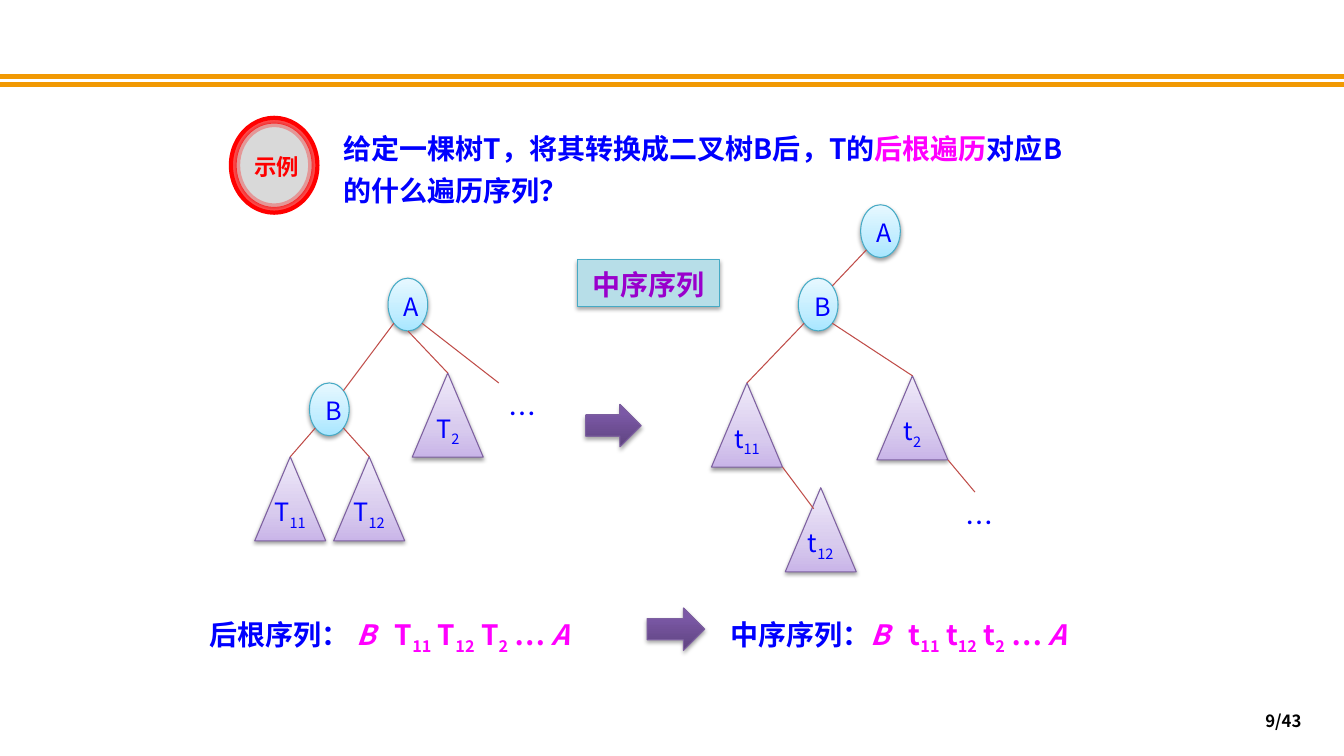
from dataclasses import dataclass

from pptx import Presentation
from pptx.dml.color import RGBColor
from pptx.enum.shapes import MSO_CONNECTOR, MSO_SHAPE
from pptx.enum.text import MSO_ANCHOR, MSO_AUTO_SIZE, PP_ALIGN
from pptx.oxml import parse_xml
from pptx.oxml.ns import nsdecls, qn
from pptx.util import Cm, Pt


@dataclass(frozen=True)
class Theme:
    font: str = "Noto Sans CJK SC"
    blue: str = "0000FF"
    pink: str = "FF00FF"
    purple: str = "9900CC"
    red: str = "FF0000"
    black: str = "000000"
    rule: str = "F19903"
    edge: str = "BF4C48"
    aqua_line: str = "46AAC5"
    violet_line: str = "7D60A0"
    label_fill: str = "B7DEE8"
    badge_fills: tuple = ("F8F8F8", "D9D9D9", None)
    badge_alphas: tuple = (100, 70, 30)
    aqua: tuple = ((0, "A7E6FF"), (35, "C1EDFF"), (100, "E7F8FF"))
    violet: tuple = ((0, "C9B5E8"), (35, "D8CBEE"), (100, "F0EAF9"))
    arrow: tuple = ((0, "5F4480"), (80, "7B58A6"), (100, "7C57A8"))
    body: int = 20
    node: int = 18
    badge: int = 16
    footer: int = 12


THEME = Theme()
SUBSCRIPT = {"baseline": -25000}

# Points on a shape as fractions of its width and height
APEX, BOTTOM, TOP_LEFT = (0.5, 0), (0.5, 1), (0, 0)
LOWER_LEFT, LOWER_RIGHT, UPPER_RIGHT = (0.146, 0.854), (0.854, 0.854), (0.854, 0.146)
CORNER_RIGHT, SLOPE_LEFT, TOP_INNER = (1, 1), (0.4, 0.25), (0.35, 0)


# Text
def add_span(para, text, color, baseline=0, **formats):
    span = para.add_run()
    span.text = text
    for name, value in {"name": THEME.font, **formats}.items():
        setattr(span.font, name, value)
    span.font.color.rgb = RGBColor.from_string(color)
    properties = span._r.get_or_add_rPr()
    if baseline:
        properties.set("baseline", str(baseline))
    properties.append(parse_xml(f'<a:ea {nsdecls("a")} typeface="{THEME.font}"/>'))


def write(box, spans, size, spacing=None, align=PP_ALIGN.LEFT, anchor=MSO_ANCHOR.TOP,
          grow=False, bold=False, color=THEME.blue, tab=None, inset=None):
    frame = box.text_frame
    settings = {"word_wrap": True, "vertical_anchor": anchor}
    if grow:
        settings["auto_size"] = MSO_AUTO_SIZE.SHAPE_TO_FIT_TEXT
    if inset is not None:
        settings.update({f"margin_{side}": inset for side in ("left", "top", "right", "bottom")})
    for name, value in settings.items():
        setattr(frame, name, value)
    para = frame.paragraphs[0]
    if tab:
        para._p.get_or_add_pPr().append(parse_xml(
            f'<a:tabLst {nsdecls("a")}><a:tab pos="{tab}" algn="l"/></a:tabLst>'))
    para.alignment, para.line_spacing = align, spacing
    for text, formats in spans:
        add_span(para, text, **{"size": Pt(size), "bold": bold, "color": color, **formats})


def add_text(slide, place, spans, size, **options):
    box = slide.shapes.add_textbox(*map(Cm, place))
    write(box, spans, size, **options)
    return box


def symbol(letter, index, **formats):
    return [(letter, formats), (index, {**formats, **SUBSCRIPT})]


# Shapes
def add_shape(slide, kind, place, fill, line, weight=0.75, shadow=None):
    shape = slide.shapes.add_shape(kind, *map(Cm, place))
    shape.shadow.inherit = False
    shape.line.color.rgb = RGBColor.from_string(line)
    shape.line.width = Pt(weight)
    properties = shape._element.spPr
    if isinstance(fill, str):
        shape.fill.solid()
        shape.fill.fore_color.rgb = RGBColor.from_string(fill)
    else:
        shape.fill.background()
    if isinstance(fill, tuple):
        stops = "".join(f'<a:gs pos="{position * 1000}"><a:srgbClr val="{color}"/></a:gs>'
                        for position, color in fill)
        properties.replace(properties.find(qn("a:noFill")), parse_xml(
            f'<a:gradFill {nsdecls("a")} rotWithShape="1"><a:gsLst>{stops}</a:gsLst>'
            '<a:lin ang="16200000" scaled="0"/></a:gradFill>'))
    if shadow:
        alpha, distance = shadow
        properties.find(qn("a:effectLst")).append(parse_xml(
            f'<a:outerShdw {nsdecls("a")} blurRad="{Pt(3.1)}" dist="{Pt(distance)}" '
            'dir="5400000" rotWithShape="0"><a:srgbClr val="000000">'
            f'<a:alpha val="{alpha * 1000}"/></a:srgbClr></a:outerShdw>'))
    return shape


def add_node(slide, left, top, letter):
    node = add_shape(slide, MSO_SHAPE.OVAL, (left, top, 1, 1.33),
                     THEME.aqua, THEME.aqua_line, shadow=(38, 1.6))
    write(node, [(letter, {})], THEME.node, spacing=1.1,
          align=PP_ALIGN.CENTER, anchor=MSO_ANCHOR.MIDDLE)
    return node


def add_subtree(slide, left, top, letter, index):
    subtree = add_shape(slide, MSO_SHAPE.ISOSCELES_TRIANGLE, (left, top, 1.79, 2.12),
                        THEME.violet, THEME.violet_line, shadow=(38, 1.6))
    write(subtree, symbol(letter, index), THEME.node, spacing=Pt(16),
          align=PP_ALIGN.CENTER, anchor=MSO_ANCHOR.MIDDLE, inset=0)
    return subtree


def add_more(slide, left, top):
    return add_text(slide, (left, top, 1.4, 1.32), [("…", {})], THEME.body,
                    spacing=Pt(30), grow=True)


def add_arrow(slide, left, top, width):
    add_shape(slide, MSO_SHAPE.RIGHT_ARROW, (left, top, width, 1.07),
              THEME.arrow, THEME.violet_line, shadow=(35, 1.8))


# Lines
def add_line(slide, start, end, color, weight):
    line = slide.shapes.add_connector(MSO_CONNECTOR.STRAIGHT, *start, *end)
    line.line.color.rgb = RGBColor.from_string(color)
    line.line.width = Pt(weight)
    line._element.spPr.append(parse_xml(f'<a:effectLst {nsdecls("a")}/>'))
    return line


def point_on(shape, fraction):
    across, down = fraction
    return int(shape.left + across * shape.width), int(shape.top + down * shape.height)


def add_edge(slide, parent, start, child, end):
    line = add_line(slide, point_on(parent, start), point_on(child, end), THEME.edge, 0.75)
    if end == APEX:
        line.end_connect(child, 0)


# Parts of the slide
def add_question(slide):
    add_text(slide, (8.41, 2.97, 19.25, 2.39),
             [("给定一棵树T，将其转换成二叉树B后，T的", {}),
              ("后根遍历", {"color": THEME.pink}),
              ("对应B的什么遍历序列？", {})],
             THEME.body, spacing=Pt(30), grow=True, bold=True)
    for ring, (fill, alpha) in enumerate(zip(THEME.badge_fills, THEME.badge_alphas)):
        inset = 0.09 * ring
        oval = add_shape(slide, MSO_SHAPE.OVAL,
                         (5.82 + inset, 2.97 + inset, 2.18 - 2 * inset, 2.39 - 2 * inset),
                         fill, THEME.red, weight=3)
        line_color = oval._element.spPr.find(f'{qn("a:ln")}//{qn("a:srgbClr")}')
        line_color.append(parse_xml(f'<a:alpha {nsdecls("a")} val="{alpha * 1000}"/>'))
    add_text(slide, (6.05, 3.66, 1.85, 1.02), [("示例", {})], THEME.badge, spacing=1.1,
             align=PP_ALIGN.CENTER, grow=True, bold=True, color=THEME.red)


def add_general_tree(slide):
    root, child = add_node(slide, 9.78, 7.01, "A"), add_node(slide, 7.8, 9.65, "B")
    first = add_subtree(slide, 6.42, 11.51, "T", "11")
    second = add_subtree(slide, 8.41, 11.51, "T", "12")
    sibling = add_subtree(slide, 10.39, 9.4, "T", "2")
    more = add_more(slide, 12.57, 9.65)
    for edge in ((root, LOWER_LEFT, child, UPPER_RIGHT), (root, BOTTOM, sibling, APEX),
                 (root, LOWER_RIGHT, more, TOP_LEFT), (child, LOWER_LEFT, first, APEX),
                 (child, LOWER_RIGHT, second, APEX)):
        add_edge(slide, *edge)


def add_binary_tree(slide):
    root, child = add_node(slide, 21.69, 5.16, "A"), add_node(slide, 20.12, 7.01, "B")
    first = add_subtree(slide, 17.93, 9.65, "t", "11")
    second = add_subtree(slide, 19.79, 12.29, "t", "12")
    sibling = add_subtree(slide, 22.1, 9.47, "t", "2")
    more = add_more(slide, 24.08, 12.4)
    for edge in ((root, LOWER_LEFT, child, UPPER_RIGHT), (child, LOWER_LEFT, first, APEX),
                 (child, LOWER_RIGHT, sibling, APEX), (first, CORNER_RIGHT, second, SLOPE_LEFT),
                 (sibling, CORNER_RIGHT, more, TOP_INNER)):
        add_edge(slide, *edge)


def add_sequence(slide, left, width, title, letter, tab):
    pink = {"color": THEME.pink}
    spans = [(title, {}), ("B", {**pink, "italic": True}), ("\t", pink)]
    for lead, index in (("", "11"), (" ", "12"), (" ", "2")):
        spans += symbol(lead + letter, index, **pink)
    spans += [(" … ", pink), ("A", {**pink, "italic": True})]
    add_text(slide, (left, 15.34, width, 1.32), spans, THEME.body,
             spacing=Pt(30), grow=True, bold=True, tab=Cm(tab))


def main():
    deck = Presentation()
    deck.slide_width, deck.slide_height = Cm(33.87), Cm(19.05)
    slide = deck.slides.add_slide(deck.slide_layouts[6])

    # Double rule at the head
    for height in (1.93, 2.13):
        add_line(slide, (0, Cm(height)), (deck.slide_width, Cm(height)), THEME.rule, 3)

    # Question, trees and answer
    add_question(slide)
    add_general_tree(slide)
    add_arrow(slide, 14.76, 10.19, 1.4)
    add_binary_tree(slide)
    answer = add_shape(slide, MSO_SHAPE.RECTANGLE, (14.55, 6.55, 3.58, 1.17),
                       THEME.label_fill, THEME.aqua_line, shadow=(35, 1.8))
    write(answer, [("中序序列", {})], THEME.body, spacing=Pt(26), align=PP_ALIGN.CENTER,
          grow=True, bold=True, color=THEME.purple)

    # Matching sequences
    add_sequence(slide, 5.03, 11.07, "后根序列： ", "T", 4.67)
    add_arrow(slide, 16.31, 15.32, 1.45)
    add_sequence(slide, 18.16, 10.49, "中序序列：", "t", 4.49)

    # Page number
    add_text(slide, (25.15, 17.65, 7.9, 1.02), [("9/43", {})], THEME.footer,
             align=PP_ALIGN.RIGHT, anchor=MSO_ANCHOR.MIDDLE, bold=True, color=THEME.black)
    deck.save("out.pptx")


if __name__ == "__main__":
    main()
